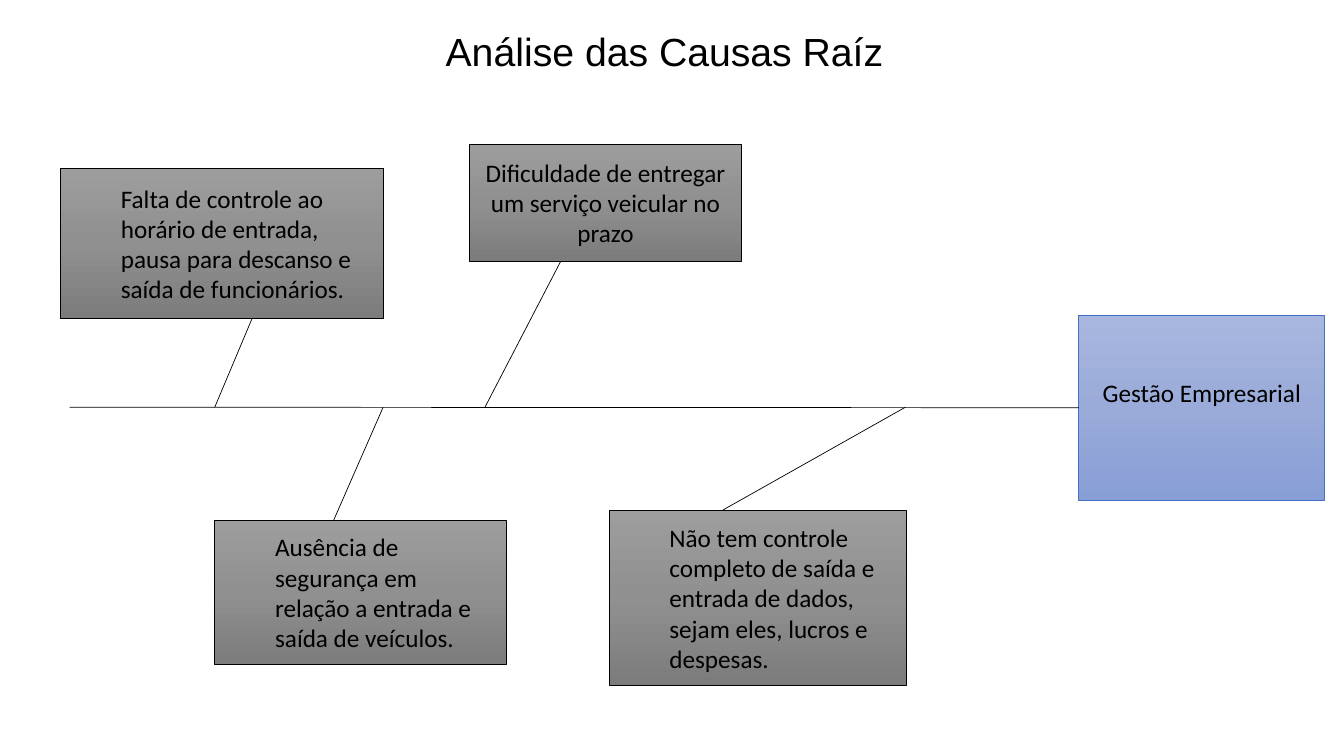
import copy

import pptx
import pptx.dml.color
import pptx.enum.shapes
import pptx.enum.text
import pptx.oxml
import pptx.oxml.ns
import pptx.util

Inches = pptx.util.Inches
Pt = pptx.util.Pt
RGB = pptx.dml.color.RGBColor.from_string
ALIGN = pptx.enum.text.PP_ALIGN
ANCHOR = pptx.enum.text.MSO_ANCHOR

COLORS = {
    "ink": "000000",
    "effect_line": "4472C4",
    "effect_fill": ("A8B7DF", "9AABD9", "889ED7"),
    "cause_fill": ("9D9D9D", "909090", "7C7C7C"),
}

deck = pptx.Presentation()
deck.slide_width = Inches(13.33)
deck.slide_height = Inches(7.5)
slide = deck.slides.add_slide(deck.slide_layouts[5])


def add_box(text, place, stops, outline, align, indent=0):
    """Draw a gradient rectangle with one paragraph of text."""
    box = slide.shapes.add_shape(
        pptx.enum.shapes.MSO_SHAPE.RECTANGLE, *[Inches(n) for n in place])
    box.shadow.inherit = False
    box.line.color.rgb = RGB(outline)
    box.line.width = Pt(0.5)

    # Three-stop gradient from top to bottom
    box.fill.gradient()
    box.fill.gradient_angle = 270
    stop_list = box._element.spPr.find(".//" + pptx.oxml.ns.qn("a:gsLst"))
    stop_list.insert(1, copy.deepcopy(stop_list[0]))
    for number, (stop, color) in enumerate(zip(box.fill.gradient_stops, stops)):
        stop.position = number / 2
        stop.color.rgb = RGB(color)

    frame = box.text_frame
    frame.word_wrap = True
    frame.vertical_anchor = ANCHOR.MIDDLE
    paragraph = frame.paragraphs[0]
    paragraph.alignment = align
    if indent:
        paragraph.level = 1
        paragraph._p.get_or_add_pPr().set("marL", str(Inches(indent)))
    run = paragraph.add_run()
    run.text = text
    run.font.name = "Calibri"
    run.font.size = Pt(18)
    run.font.color.rgb = RGB(COLORS["ink"])
    return box


def add_bone(start, end):
    """Draw a thin straight line of the fishbone."""
    bone = slide.shapes.add_connector(
        pptx.enum.shapes.MSO_CONNECTOR.STRAIGHT,
        *[Inches(n) for n in start + end])
    bone.line.color.rgb = RGB(COLORS["ink"])
    bone.line.width = Pt(0.5)
    bone._element.spPr.append(pptx.oxml.parse_xml(
        "<a:effectLst %s/>" % pptx.oxml.ns.nsdecls("a")))
    return bone


# Title
title = slide.shapes.title
title.left, title.top = Inches(4.32), Inches(0.22)
title.width, title.height = Inches(6.08), Inches(0.57)
title.text_frame.word_wrap = True
title.text_frame.vertical_anchor = ANCHOR.TOP
heading = title.text_frame.paragraphs[0]
heading.alignment = ALIGN.LEFT
heading_run = heading.add_run()
heading_run.text = "Análise das Causas Raíz"
heading_run.font.name = "Arial"
heading_run.font.size = Pt(28)
heading_run.font.color.rgb = RGB(COLORS["ink"])

# Effect at the head, its text set a little above the middle
effect = add_box("Gestão Empresarial", (10.7, 3.13, 2.44, 1.83),
                 COLORS["effect_fill"], COLORS["effect_line"], ALIGN.CENTER)
effect.text_frame.margin_bottom = Inches(0.35)

# Spine
SPINE_Y = 4.04
spine = add_bone((0.69, SPINE_Y), (10.7, SPINE_Y))
spine.end_connect(effect, 1)

# Causes: text, box, alignment, indent, bone's x on the spine, bone's end at the box
causes = [
    ("Não tem controle completo de saída e entrada de dados, sejam eles, lucros e despesas.",
     (6.04, 5.06, 2.95, 1.74), ALIGN.LEFT, 0.5, 8.98, (7.17, 5.06)),
    ("Falta de controle ao horário de entrada, pausa para descanso e saída de funcionários.",
     (0.6, 1.67, 3.2, 1.49), ALIGN.LEFT, 0.5, 2.13, (2.5, 3.16)),
    ("Dificuldade de entregar um serviço veicular no prazo",
     (4.66, 1.43, 2.69, 1.16), ALIGN.CENTER, 0, 4.81, (5.63, 2.46)),
    ("Ausência de segurança em relação a entrada e saída de veículos.",
     (2.13, 5.16, 2.89, 1.43), ALIGN.LEFT, 0.5, 3.8, (3.31, 5.16)),
]
for cause, place, align, indent, spine_x, box_end in causes:
    add_bone((spine_x, SPINE_Y), box_end)
    add_box(cause, place, COLORS["cause_fill"], COLORS["ink"], align, indent)

deck.save("out.pptx")
